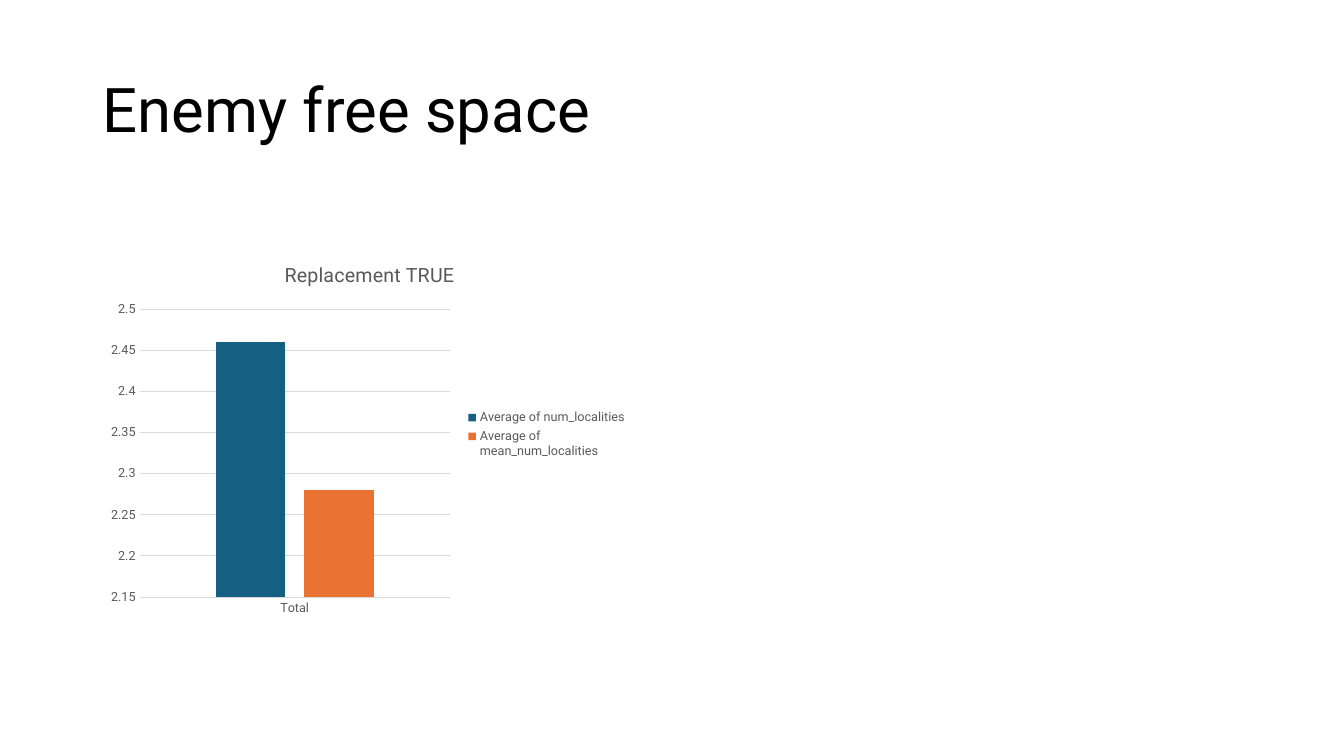
from dataclasses import dataclass

from lxml.etree import SubElement
from pptx import Presentation
from pptx.chart.data import CategoryChartData
from pptx.dml.color import RGBColor
from pptx.enum.chart import XL_CHART_TYPE as ChartType
from pptx.enum.chart import XL_LEGEND_POSITION as LegendPosition
from pptx.enum.chart import XL_TICK_MARK as TickMark
from pptx.enum.text import MSO_ANCHOR as Anchor
from pptx.enum.text import PP_ALIGN as Align
from pptx.oxml.ns import qn
from pptx.util import Inches, Pt


@dataclass(frozen=True)
class Theme:
    font: str = "Roboto"
    ink: str = "000000"
    label: str = "595959"
    rule: str = "D9D9D9"
    series: tuple = ("156082", "E97132")
    title_size: int = 44
    chart_title_size: int = 14
    label_size: int = 9
    rule_width: float = 0.75


class SlideBuilder:
    def __init__(self, deck, theme):
        self.deck = deck
        self.theme = theme
        self.page = deck.slides.add_slide(deck.slide_layouts[5])

    def area(self, left, top, width, height):
        across, down = self.deck.slide_width, self.deck.slide_height
        return [int(share * length) for share, length in
                zip((left, top, width, height), (across, down, across, down))]

    def style(self, font, size, color):
        font.name = self.theme.font
        font.size = Pt(size)
        font.bold = False
        font.color.rgb = RGBColor.from_string(color)

    def rule(self, line):
        line.color.rgb = RGBColor.from_string(self.theme.rule)
        line.width = Pt(self.theme.rule_width)

    def title(self, text, *shares):
        box = self.page.shapes.title
        box.left, box.top, box.width, box.height = self.area(*shares)
        box.text_frame.vertical_anchor = Anchor.MIDDLE
        para = box.text_frame.paragraphs[0]
        para.alignment = Align.LEFT
        para.line_spacing = 0.9
        span = para.add_run()
        span.text = text
        self.style(span.font, self.theme.title_size, self.theme.ink)

    def axis(self, axis):
        axis.major_tick_mark = axis.minor_tick_mark = TickMark.NONE
        self.style(axis.tick_labels.font, self.theme.label_size, self.theme.label)

    def plot_layout(self, chart, **shares):
        plot_area = chart.plots[0]._element.getparent()
        for old in plot_area.findall(qn("c:layout")):
            plot_area.remove(old)
        layout = SubElement(plot_area, qn("c:layout"))
        plot_area.insert(0, layout)
        manual = SubElement(layout, qn("c:manualLayout"))
        settings = {"layoutTarget": "inner", "xMode": "edge", "yMode": "edge", **shares}
        for name, value in settings.items():
            SubElement(manual, qn(f"c:{name}")).set("val", str(value))

    def column_chart(self, heading, categories, series, scale, *shares):
        theme = self.theme
        data = CategoryChartData()
        data.categories = categories
        for name, values in series.items():
            data.add_series(name, values)
        chart = self.page.shapes.add_chart(
            ChartType.COLUMN_CLUSTERED, *self.area(*shares), data).chart
        self.style(chart.font, theme.label_size, theme.label)

        chart.has_title = True
        chart.chart_title.include_in_layout = False
        span = chart.chart_title.text_frame.paragraphs[0].add_run()
        span.text = heading
        self.style(span.font, theme.chart_title_size, theme.label)

        chart.has_legend = True
        chart.legend.position = LegendPosition.RIGHT
        chart.legend.include_in_layout = False
        self.style(chart.legend.font, theme.label_size, theme.label)

        self.axis(chart.category_axis)
        self.rule(chart.category_axis.format.line)
        values = chart.value_axis
        self.axis(values)
        values.minimum_scale, values.maximum_scale, values.major_unit = scale
        values.format.line.fill.background()
        values.has_major_gridlines = True
        self.rule(values.major_gridlines.format.line)
        values.tick_labels.number_format = "General"
        values.tick_labels.number_format_is_linked = False

        plot = chart.plots[0]
        plot.vary_by_categories = False
        plot.gap_width, plot.overlap = 219, -27
        for column, color in zip(plot.series, theme.series):
            column.format.fill.solid()
            column.format.fill.fore_color.rgb = RGBColor.from_string(color)
        self.plot_layout(chart, x=0.07, y=0.17, w=0.58, h=0.76)


def main():
    deck = Presentation()
    deck.slide_width, deck.slide_height = Inches(13.33), Inches(7.5)
    slide = SlideBuilder(deck, Theme())
    slide.title("Enemy free space", 0.069, 0.053, 0.863, 0.193)
    slide.column_chart(
        "Replacement TRUE",
        ["Total"],
        {"Average of num_localities": [2.46],
         "Average of mean_num_localities": [2.28]},
        (2.15, 2.5, 0.05),
        0.076, 0.324, 0.398, 0.501)
    deck.save("out.pptx")


if __name__ == "__main__":
    main()
